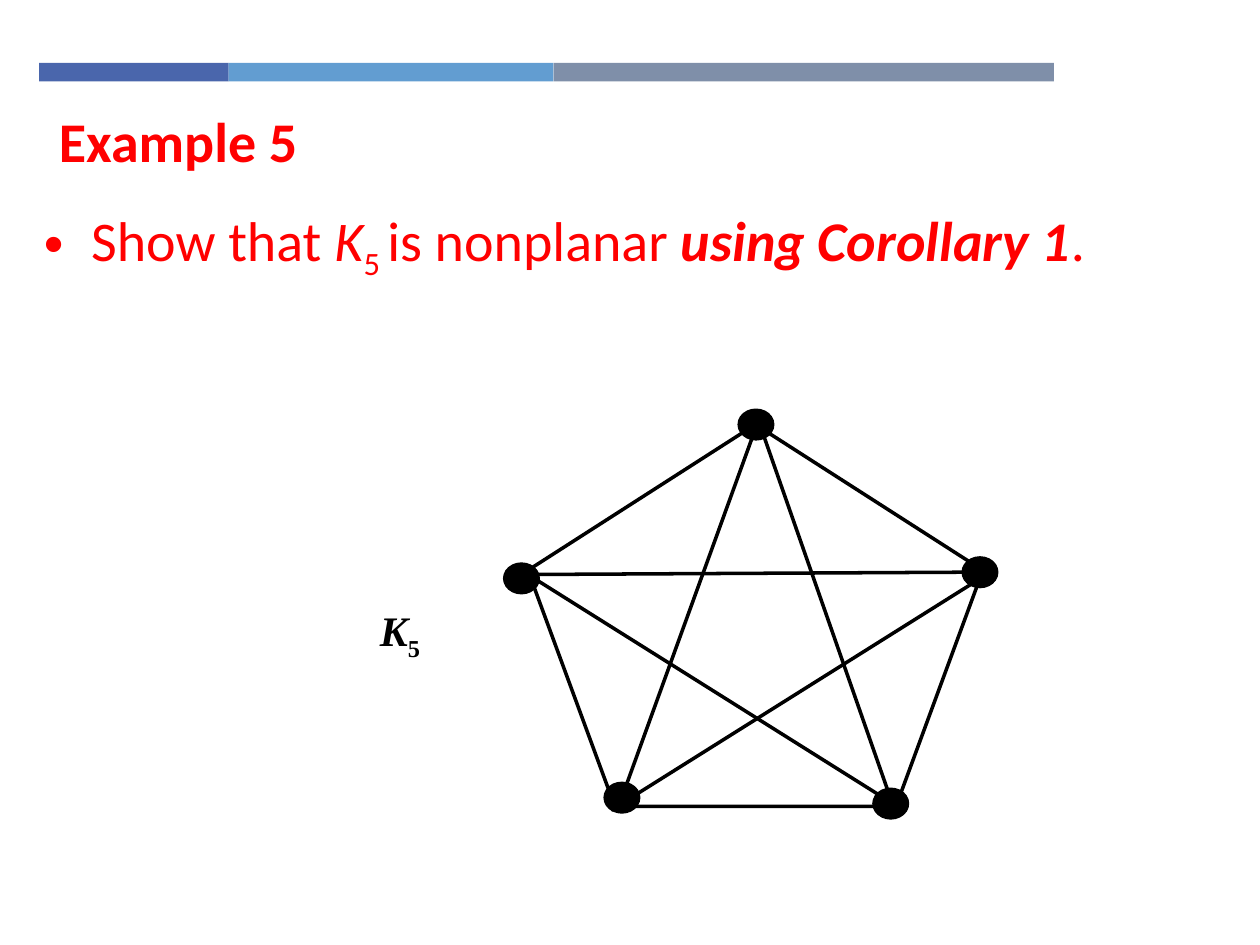
from lxml import etree
from pptx import Presentation
from pptx.dml.color import RGBColor
from pptx.enum import shapes, text
from pptx.oxml import ns
from pptx.util import Pt

RED, BLACK = "FF0000", "000000"
KIND = shapes.MSO_SHAPE


def color(code):
    return RGBColor.from_string(code)


def write(para, words, font="Calibri", size=32, tint=RED,
          bold=False, italic=False, base=0):
    """Add one run; base is the baseline shift in percent."""
    run = para.add_run()
    run.text = words
    face = run.font
    face.name, face.size = font, Pt(size)
    face.bold, face.italic = bold, italic
    face.color.rgb = color(tint)
    if base:
        run._r.get_or_add_rPr().set("baseline", str(base * 1000))


class Board:
    """Holds the current slide and the style of its elements."""

    def __init__(self, slide, ink=BLACK, width=2):
        self.items = slide.shapes
        self.ink, self.width = ink, width

    def shape(self, kind, x, y, w, h, fill=None, line=None):
        form = self.items.add_shape(kind, Pt(x), Pt(y), Pt(w), Pt(h))
        form.shadow.inherit = False
        if fill:
            form.fill.solid()
            form.fill.fore_color.rgb = color(fill)
        else:
            form.fill.background()
        if line:
            form.line.color.rgb = color(self.ink)
            form.line.width = Pt(line)
        else:
            form.line.fill.background()

    def node(self, x, y, w=20.4, h=17.6):
        """Draw a dot centred on x, y."""
        self.shape(KIND.OVAL, x - w / 2, y - h / 2, w, h, self.ink, 0.75)

    def edge(self, x1, y1, x2, y2):
        line = self.items.add_connector(
            shapes.MSO_CONNECTOR.STRAIGHT, Pt(x1), Pt(y1), Pt(x2), Pt(y2))
        line.line.color.rgb = color(self.ink)
        line.line.width = Pt(self.width)
        etree.SubElement(line._element.spPr, ns.qn("a:effectLst"))

    def box(self, x, y, w, h):
        """Add a text box and return its first paragraph."""
        frame = self.items.add_textbox(Pt(x), Pt(y), Pt(w), Pt(h)).text_frame
        frame.word_wrap = True
        frame.vertical_anchor = text.MSO_ANCHOR.TOP
        return frame.paragraphs[0]

    def bullet(self, para, indent=27):
        props = para._p.get_or_add_pPr()
        props.set("marL", str(Pt(indent)))
        props.set("indent", str(-Pt(indent)))
        font = etree.SubElement(props, ns.qn("a:buFont"))
        font.set("typeface", "Arial")
        etree.SubElement(props, ns.qn("a:buChar")).set("char", "•")


def main():
    deck = Presentation()
    deck.slide_width, deck.slide_height = Pt(720), Pt(540)
    board = Board(deck.slides.add_slide(deck.slide_layouts[6]))

    left = 22.3
    for wide, fill in ((108.3, "4A66AC"), (185.7, "629DD1"), (286, "7F8FA9")):
        board.shape(KIND.RECTANGLE, left, 36, wide, 10.6, fill)
        left += wide

    write(board.box(26.6, 57.6, 515.5, 39), "Example 5", bold=True)

    task = board.box(18, 113.8, 678, 126)
    board.bullet(task)
    write(task, "Show that ")
    write(task, "K", italic=True)
    write(task, "5 ", base=-25)
    write(task, "is nonplanar ")
    write(task, "using Corollary 1", bold=True, italic=True)
    write(task, ".")

    board.shape(KIND.REGULAR_PENTAGON, 301.7, 242.6, 260, 218.2, line=2)
    chords = ((301.7, 328.3, 510.5, 459.4), (303.8, 328.3, 565.9, 326.9),
              (432, 244.1, 353.5, 460.8), (434.2, 242.6, 510.5, 460.8),
              (563.8, 328.3, 349.2, 463))
    for ends in chords:
        board.edge(*ends)
    for spot in ((432, 242.6), (560, 327), (298, 330.5),
                 (509, 459.2), (355.4, 455.8)):
        board.node(*spot)

    label = board.box(210, 342, 54, 36)
    style = dict(font="Times New Roman", size=24, tint=BLACK, bold=True)
    write(label, "K", italic=True, **style)
    write(label, "5", base=-25, **style)

    deck.save("out.pptx")


if __name__ == "__main__":
    main()
